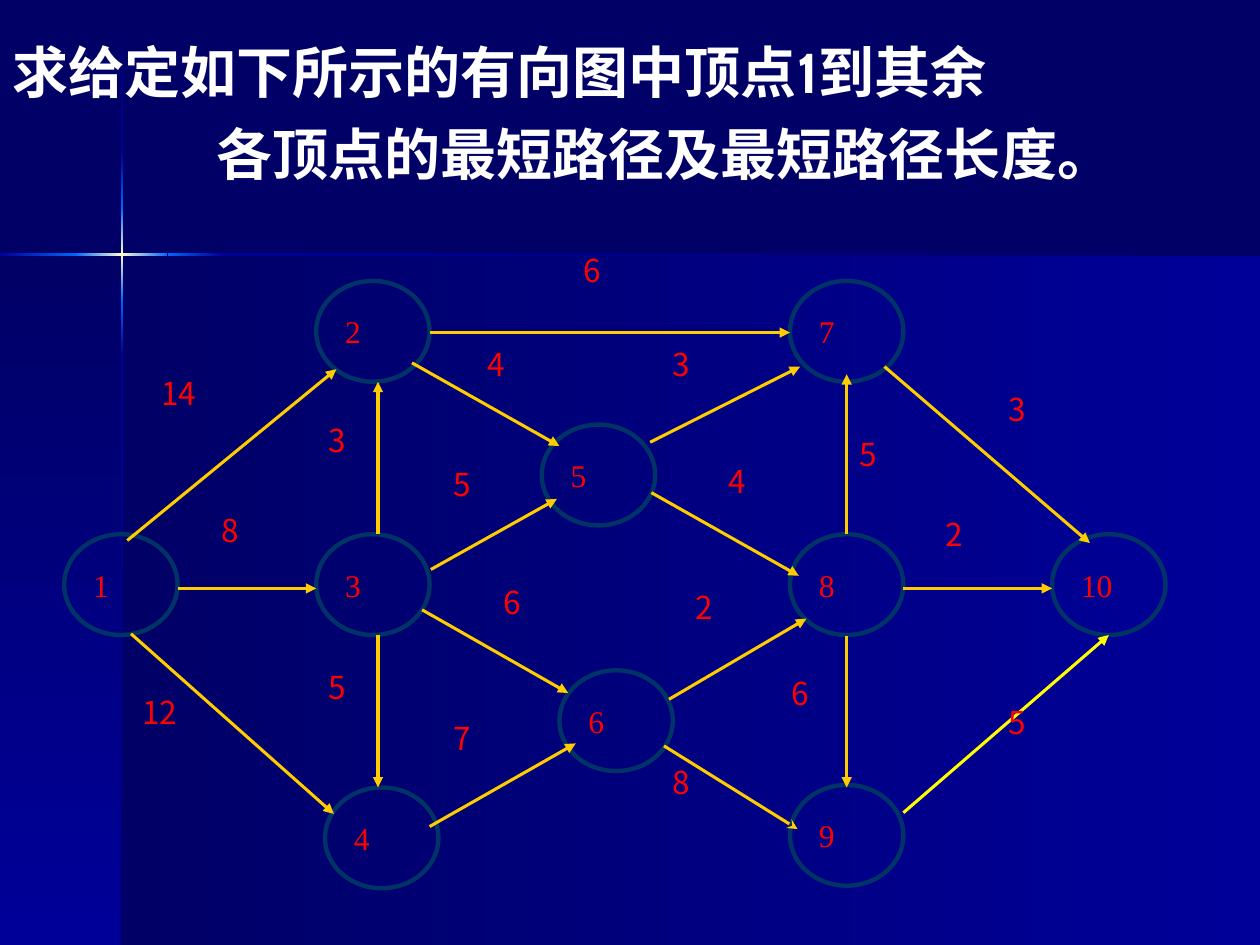
from pptx import Presentation
from pptx.dml.color import RGBColor
from pptx.enum.shapes import MSO_CONNECTOR as CONN, MSO_SHAPE as SHAPE
from pptx.enum.text import MSO_ANCHOR as ANCHOR, MSO_AUTO_SIZE as AUTO, PP_ALIGN as ALIGN
from pptx.oxml import parse_xml
from pptx.oxml.ns import nsdecls, qn
from pptx.util import Inches, Pt
from lxml.etree import SubElement

COLORS = {
    "night": "000066", "navy": "000099", "blue": "0066FF", "glow": "FFFFCC",
    "ring": "003366", "gold": "FFCC00", "yellow": "FFFF00",
    "red": "FF0000", "white": "FFFFFF",
}

PANES = [
    (0.97, 2.02, 9.03, 5.48, 0, ["night", "navy"]),
    (0, 2.02, 0.97, 5.48, 90, ["night", "navy"]),
    (0.96, 0.01, 0.02, 1.2, 90, ["night", "navy"]),
    (0.96, 2.82, 0.02, 4.68, 90, ["navy", "night"]),
    (1.77, 2.01, 8.23, 0.02, 0, ["navy", "night"]),
    (0.96, 2.38, 0.02, 0.44, 90, ["blue", "navy"]),
    (0.96, 1.21, 0.02, 0.44, 90, ["navy", "blue"]),
    (0.96, 1.65, 0.02, 0.73, 90, ["blue", "glow", "blue"]),
    (0, 2.01, 0.61, 0.02, 0, ["navy", "blue"]),
    (1.33, 2.01, 0.44, 0.02, 0, ["blue", "navy"]),
    (0.6, 2.01, 0.73, 0.02, 0, ["blue", "glow", "blue"]),
]

TITLE = [("求给定如下所示的有向图中顶点1到其余", 0), ("各顶点的最短路径及最短路径长度。", 1.62)]

NODES = {
    1: (0.51, 4.24), 4: (2.58, 6.25), 3: (2.51, 4.24), 6: (4.44, 5.32),
    9: (6.27, 6.23), 10: (8.35, 4.24), 5: (4.3, 3.37), 8: (6.27, 4.24),
    7: (6.27, 2.23), 2: (2.51, 2.23),
}

EDGES = [
    ((3.41, 2.64), (6.27, 2.64), 6, (4.53, 1.94)),
    ((3, 4.24), (3, 3.03), 3, (2.51, 3.29)),
    ((3, 5.04), (3, 6.25), 5, (2.51, 5.25)),
    ((6.72, 4.24), (6.72, 2.97), 5, (6.72, 3.4)),
    ((6.72, 5.05), (6.72, 6.25), 6, (6.18, 5.3)),
    ((7.02, 2.91), (8.65, 4.31), 3, (7.91, 3.05)),
    ((1.01, 4.29), (2.67, 2.93), 14, (1.18, 2.92)),
    ((1.04, 5.03), (2.65, 6.46), 12, (1.03, 5.45)),
    ((7.17, 6.45), (8.8, 5.04), 5, (7.91, 5.53), "yellow"),
    ((3.27, 2.88), (4.44, 3.54), 4, (3.77, 2.69)),
    ((5.16, 3.51), (6.35, 2.91), 3, (5.24, 2.69)),
    ((3.41, 6.56), (4.57, 5.9), 7, (3.5, 5.66)),
    ((5.27, 5.92), (6.33, 6.58), 8, (5.24, 6.01), "gold", "stealth"),
    ((5.17, 3.91), (6.34, 4.57), 4, (5.68, 3.62)),
    ((3.42, 4.52), (4.42, 3.96), 5, (3.5, 3.64)),
    ((5.31, 5.55), (6.4, 4.91), 2, (5.42, 4.62)),
    ((3.35, 4.84), (4.51, 5.5), 6, (3.9, 4.58)),
    ((1.41, 4.67), (2.51, 4.67), 8, (1.66, 4.01)),
    ((7.17, 4.67), (8.35, 4.67), 2, (7.41, 4.04)),
]


def rgb(name):
    return RGBColor.from_string(COLORS[name])


def add_run(p, text, font, size, color, bold=False):
    p.alignment = ALIGN.LEFT
    r = p.add_run()
    r.text = text
    r.font.name = font
    r.font.size = Pt(size)
    r.font.bold = bold
    r.font.color.rgb = rgb(color)
    return r


def add_pane(s, x, y, w, h, angle, names):
    sp = s.shapes.add_shape(SHAPE.RECTANGLE, Inches(x), Inches(y), Inches(w), Inches(h))
    sp.shadow.inherit = False
    sp.line.fill.background()
    sp.fill.background()
    stops = "".join(
        f'<a:gs pos="{100000 * i // (len(names) - 1)}"><a:srgbClr val="{COLORS[name]}"/></a:gs>'
        for i, name in enumerate(names))
    grad = parse_xml(
        f'<a:gradFill {nsdecls("a")} rotWithShape="1"><a:gsLst>{stops}</a:gsLst>'
        f'<a:lin ang="{angle * 60000}" scaled="0"/></a:gradFill>')
    spPr = sp.element.spPr
    spPr.replace(spPr.find(qn("a:noFill")), grad)
    return sp


def add_title(s, pane):
    title = s.shapes.title
    pane.element.addnext(title.element)
    title.left, title.top, title.width, title.height = 0, Inches(0.25), Inches(10), Inches(1.5)
    tf = title.text_frame
    tf.word_wrap = True
    tf.auto_size = AUTO.NONE
    tf.vertical_anchor = ANCHOR.TOP
    for i, (text, indent) in enumerate(TITLE):
        p = tf.add_paragraph() if i else tf.paragraphs[0]
        p.space_before = Pt(8 if i else 0)
        r = add_run(p, text, "Cabin", 32, "white", True)
        SubElement(r.font._element, qn("a:ea")).set("typeface", "Cabin")
        p._p.get_or_add_pPr().set("marL", str(Inches(indent)))


def add_node(s, number, x, y):
    sp = s.shapes.add_shape(SHAPE.OVAL, Inches(x), Inches(y), Inches(0.9), Inches(0.8))
    sp.shadow.inherit = False
    sp.fill.background()
    sp.line.color.rgb = rgb("ring")
    sp.line.width = Pt(2.5)
    tf = sp.text_frame
    tf.word_wrap = True
    tf.vertical_anchor = ANCHOR.MIDDLE
    add_run(tf.paragraphs[0], str(number), "Times New Roman", 18, "red")


def add_arrow(s, start, end, color="gold", head="triangle"):
    points = [Inches(v) for v in (*start, *end)]
    c = s.shapes.add_connector(CONN.STRAIGHT, *points)
    c.line.color.rgb = rgb(color)
    c.line.width = Pt(1.75)
    SubElement(c.line._get_or_add_ln(), qn("a:tailEnd")).set("type", head)
    SubElement(c.element.spPr, qn("a:effectLst"))


def add_weight(s, weight, x, y):
    tb = s.shapes.add_textbox(Inches(x), Inches(y), Inches(1.34), Inches(0.4))
    tf = tb.text_frame
    tf.word_wrap = True
    add_run(tf.paragraphs[0], str(weight), "Noto Sans CJK SC", 18, "red")


def main():
    prs = Presentation()
    prs.slide_width, prs.slide_height = Inches(10), Inches(7.5)
    s = prs.slides.add_slide(prs.slide_layouts[5])
    s.background.fill.solid()
    s.background.fill.fore_color.rgb = rgb("night")
    panes = [add_pane(s, *pane) for pane in PANES]
    add_title(s, panes[-1])
    for number, place in NODES.items():
        add_node(s, number, *place)
    for start, end, _, _, *style in EDGES:
        add_arrow(s, start, end, *style)
    for _, _, weight, place, *_ in EDGES:
        add_weight(s, weight, *place)
    prs.save("out.pptx")


if __name__ == "__main__":
    main()
